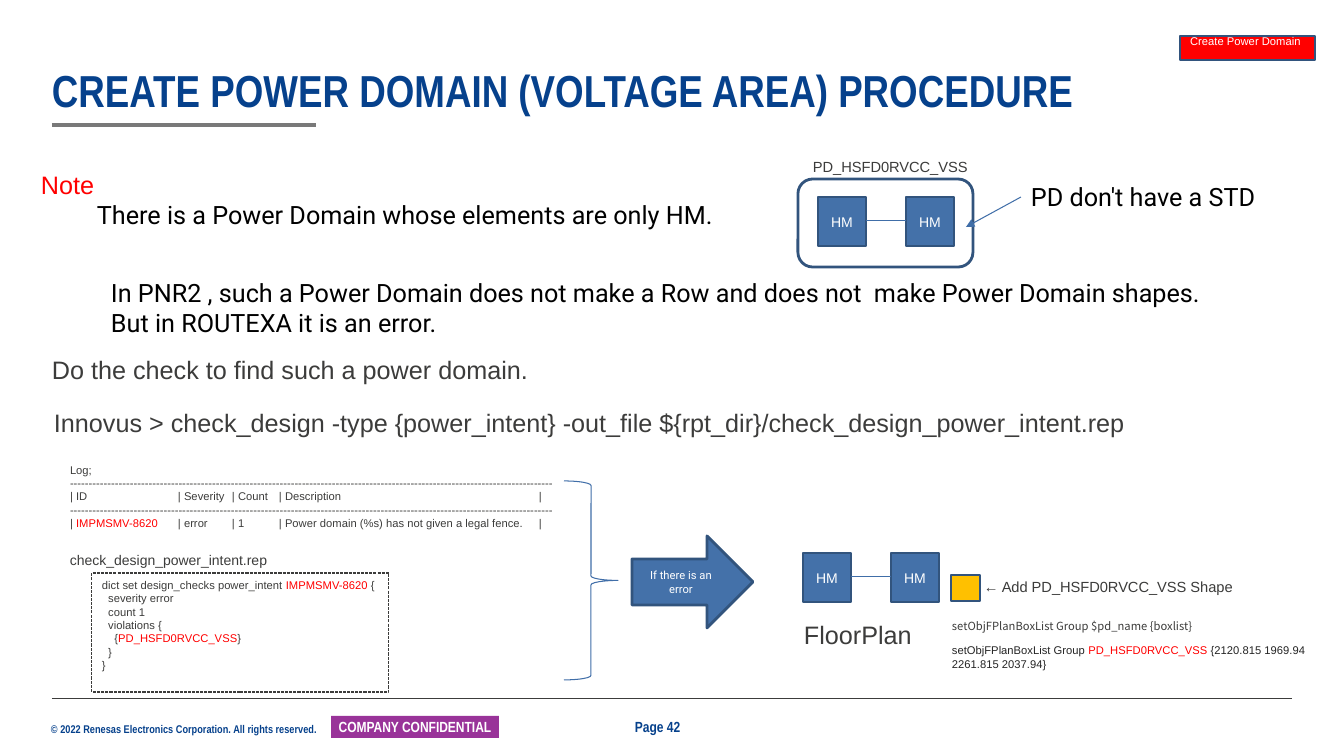
from lxml.etree import SubElement
from pptx import Presentation
from pptx.dml.color import RGBColor
from pptx.enum.dml import MSO_LINE
from pptx.enum.shapes import MSO_CONNECTOR, MSO_SHAPE
from pptx.enum.text import MSO_ANCHOR, PP_ALIGN
from pptx.oxml.ns import qn
from pptx.util import Pt

PX = 914400 / 100.8
NAVY = RGBColor(0x06, 0x41, 0x8C)
INK = RGBColor(0x3C, 0x3C, 0x3B)
DARK = RGBColor(0x24, 0x24, 0x24)
BLACK = RGBColor(0, 0, 0)
WHITE = RGBColor(0xFF, 0xFF, 0xFF)
RED = RGBColor(0xFF, 0, 0)
PURPLE = RGBColor(0x99, 0x33, 0x99)
GREY = RGBColor(0x79, 0x79, 0x79)
BLUE = RGBColor(0x44, 0x71, 0xA9)
EDGE = RGBColor(0x32, 0x54, 0x7D)
THIN = RGBColor(0x40, 0x6E, 0xA8)
AMBER = RGBColor(0xFF, 0xC0, 0)

prs = Presentation()
prs.slide_width, prs.slide_height = round(1344 * PX), round(756 * PX)
slide = prs.slides.add_slide(prs.slide_layouts[6])


def write(place, paragraphs, size, color=INK, font="Arial", bold=False,
          centred=False, insets=(10, 5, 10, 5)):
    """Fill a shape, or a new text box at a px rectangle; a paragraph is a list of (text, colour)."""
    shape = place
    if isinstance(place, tuple):
        shape = slide.shapes.add_textbox(*(round(n * PX) for n in place))
    frame = shape.text_frame
    left, top, right, bottom = (round(n * PX) for n in insets)
    frame_format = {
        "word_wrap": True,
        "vertical_anchor": MSO_ANCHOR.MIDDLE if centred else MSO_ANCHOR.TOP,
        "margin_left": left, "margin_top": top,
        "margin_right": right, "margin_bottom": bottom,
    }
    for key, value in frame_format.items():
        setattr(frame, key, value)
    for i, parts in enumerate(paragraphs):
        line = frame.paragraphs[0] if i == 0 else frame.add_paragraph()
        line.alignment = PP_ALIGN.CENTER if centred else PP_ALIGN.LEFT
        for text, tint in [(parts, color)] if isinstance(parts, str) else parts:
            run = line.add_run()
            run.text = text
            run.font.color.rgb = tint
            run_format = {"size": Pt(size), "name": font, "bold": bold}
            for key, value in run_format.items():
                setattr(run.font, key, value)
    return frame


def draw(preset, rect, fill=None, edge=EDGE, weight=2):
    shape = slide.shapes.add_shape(preset, *(round(n * PX) for n in rect))
    shape.shadow.inherit = False
    if fill is None:
        shape.fill.background()
    else:
        shape.fill.solid()
        shape.fill.fore_color.rgb = fill
    if edge is None:
        shape.line.fill.background()
    else:
        shape.line.color.rgb = edge
        shape.line.width = Pt(weight)
    return shape


# Title, footer and tag
title = write((52, 69, 1240, 48), ["CREATE POWER DOMAIN (VOLTAGE AREA) PROCEDURE"],
              32, NAVY, "Arial Narrow", True, insets=(0, 0, 0, 0))
title.vertical_anchor = MSO_ANCHOR.BOTTOM
title.paragraphs[0].line_spacing = 0.9
write((51, 722, 285, 13), ["© 2022 Renesas Electronics Corporation. All rights reserved."],
      8, NAVY, "Arial Narrow", True, insets=(0, 0, 0, 0))
confidential = draw(MSO_SHAPE.RECTANGLE, (331, 716, 168, 22), PURPLE, None)
write(confidential, ["COMPANY CONFIDENTIAL"], 10.5, WHITE, "Arial Narrow", True, True, (4, 0, 4, 0))
write((625, 713, 72, 28), ["Page 42"], 10.5, NAVY, "Arial Narrow", True)
topic = draw(MSO_SHAPE.RECTANGLE, (1180, 36, 135, 24), RED)
write(topic, ["Create Power Domain"], 8, WHITE, centred=True, insets=(5, 0, 9, 14))

# Note and check command
note = write((31, 164, 700, 72), [
    [("Note", RED)],
    "There is a Power Domain whose elements are only HM.",
], 18, BLACK, "Roboto")
note.paragraphs[0].runs[0].font.name = "Arial"
note.paragraphs[1]._p.get_or_add_pPr().set("marL", str(round(56 * PX)))
write((101, 272, 1112, 72), [
    "In PNR2 , such a Power Domain does not make a Row and does not  make Power Domain shapes.",
    "But in ROUTEXA it is an error.",
], 18, BLACK, "Roboto")
write((42, 349, 501, 40), ["Do the check to find such a power domain."], 18)
write((44, 402, 1110, 40), [
    "Innovus > check_design -type {power_intent} -out_file ${rpt_dir}/check_design_power_intent.rep",
], 18)

# Log with tabbed columns
rule = "-" * 129
log = write((60, 458, 520, 92), [
    "Log;",
    rule,
    "| ID\t| Severity\t| Count\t| Description\t|",
    rule,
    [("| ", INK), ("IMPMSMV-8620", RED),
     ("\t| error\t| 1\t| Power domain (%s) has not given a legal fence.\t|", INK)],
], 8)
for row in (log.paragraphs[2], log.paragraphs[4]):
    stops = SubElement(row._p.get_or_add_pPr(), qn("a:tabLst"))
    for column in (108, 162, 209, 469):
        SubElement(stops, qn("a:tab"), pos=str(round(column * PX)), algn="l")

# Report
write((60, 547, 219, 27), ["check_design_power_intent.rep"], 10)
report = draw(MSO_SHAPE.RECTANGLE, (92, 573, 297, 119), None, INK, 0.75)
report.line.dash_style = MSO_LINE.SQUARE_DOT
write(report, [
    [("dict set design_checks power_intent ", INK), ("IMPMSMV-8620", RED), (" {", INK)],
    "  severity error",
    "  count 1",
    "  violations {",
    [("    {", INK), ("PD_HSFD0RVCC_VSS", RED), ("}", INK)],
    "  }",
    "}",
], 8)

# Step from the report to the floor plan
draw(MSO_SHAPE.RIGHT_BRACE, (564, 481, 54, 199), None, THIN, 0.75)
step = draw(MSO_SHAPE.RIGHT_ARROW, (632, 536, 121, 92), BLUE)
write(step, ["If there is an error"], 8, WHITE, "Roboto", centred=True)

# Power domain and floor plan, each with a pair of hard macros
draw(MSO_SHAPE.ROUNDED_RECTANGLE, (798, 179, 175, 88))
connections = []
for pair_left, pair_top in ((818, 197), (803, 553)):
    for macro_left in (pair_left, pair_left + 88):
        macro = draw(MSO_SHAPE.RECTANGLE, (macro_left, pair_top, 48, 49), BLUE)
        write(macro, ["HM"], 10, WHITE, centred=True)
    middle = pair_top + 24
    connections.append(((pair_left + 88, middle, pair_left + 48, middle), THIN, 0.75))
write((803, 153, 180, 28), ["PD_HSFD0RVCC_VSS"], 10.5)
write((1021, 176, 255, 40), ["PD don't have a STD"], 18, BLACK, "Roboto")
write((794, 614, 140, 40), ["FloorPlan"], 18)
draw(MSO_SHAPE.RECTANGLE, (951, 575, 29, 26), AMBER)
write((974, 573, 280, 28), ["← Add PD_HSFD0RVCC_VSS Shape"], 10.5)
commands = write((942, 614, 412, 60), [
    "setObjFPlanBoxList Group $pd_name {boxlist}",
    [("setObjFPlanBoxList Group ", DARK), ("PD_HSFD0RVCC_VSS ", RED),
     ("{2120.815 1969.94 2261.815 2037.94}", DARK)],
], 8)
commands.paragraphs[0].runs[0].font.name = "Noto Sans CJK JP"
commands.paragraphs[1].space_before = Pt(8)

# Lines
callout = ((1021, 197, 966, 227), THIN, 0.75)
footer_rule = ((52, 698, 1292, 698), INK, 0.5)
title_rule = ((52, 125, 316, 125), GREY, 3)
for ends, color, weight in [*connections, footer_rule, title_rule, callout]:
    connector = slide.shapes.add_connector(MSO_CONNECTOR.STRAIGHT, *(round(n * PX) for n in ends))
    connector.line.color.rgb = color
    connector.line.width = Pt(weight)
    if ends == callout[0]:
        SubElement(connector.line._get_or_add_ln(), qn("a:tailEnd"), type="triangle")
    SubElement(connector._element.spPr, qn("a:effectLst"))

prs.save("out.pptx")
